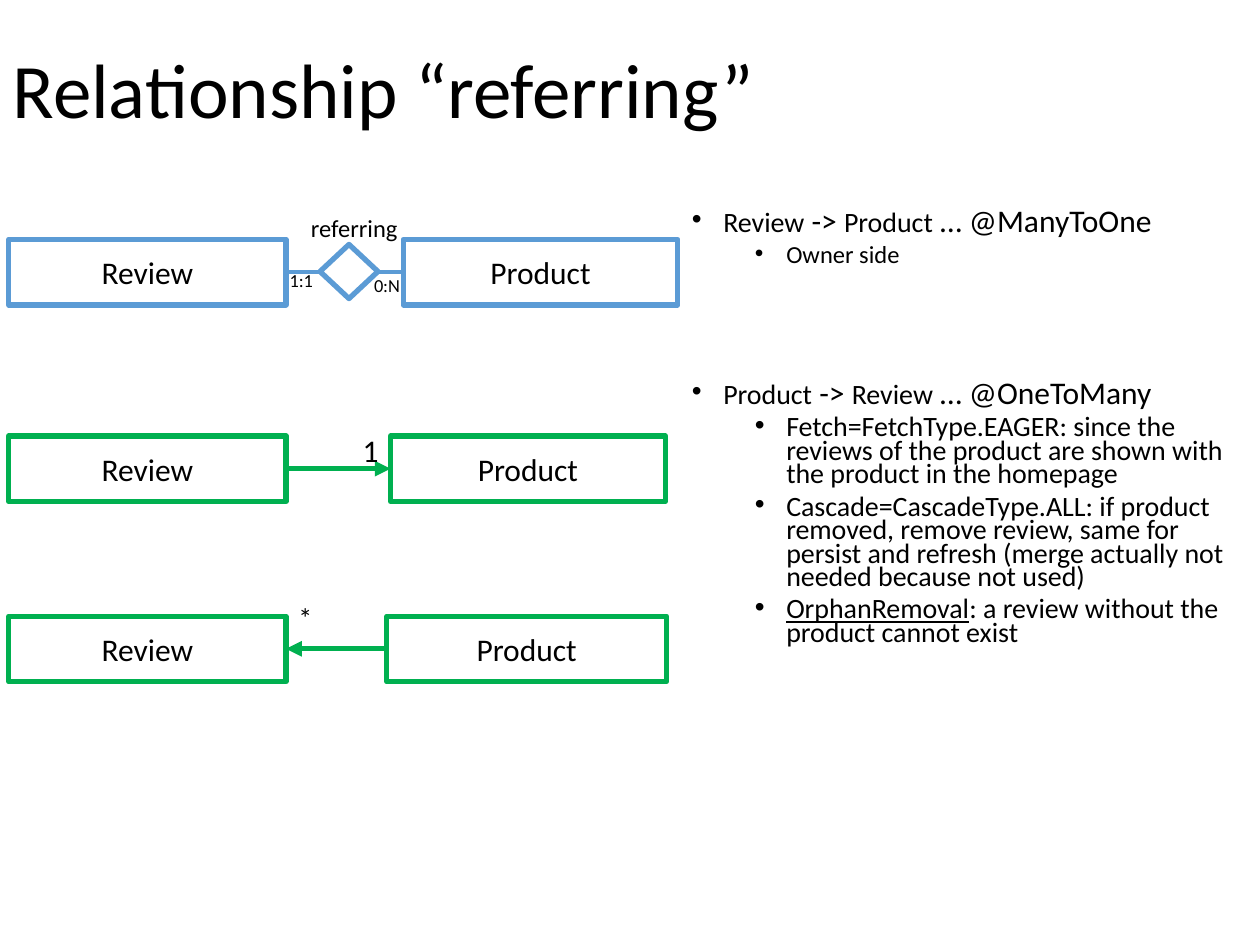
"""Builds the slide on the "referring" relationship between Review and Product."""
from lxml.etree import SubElement
from pptx import Presentation
from pptx.dml.color import RGBColor
from pptx.enum.shapes import MSO_CONNECTOR, MSO_SHAPE
from pptx.enum.text import MSO_ANCHOR, MSO_AUTO_SIZE as AUTO_SIZE, PP_ALIGN
from pptx.oxml.ns import qn
from pptx.util import Inches, Pt

BLACK, WHITE, BLUE, GREEN = "000000", "FFFFFF", "5B9BD5", "00B050"
FONT = "Calibri"
TITLE = "Relationship “referring”"

# level, space before, runs of (text, size, underlined)
NOTES = [
    (0, 0, [("Review", 16, False), (" -> ", 18, False),
            ("Product", 16, False), (" … @ManyToOne", 18, False)]),
    (1, 5, [("Owner side", 14, False)]),
    (0, 66, [("Product", 16, False), (" -> ", 18, False),
             ("Review", 16, False), (" … @OneToMany", 18, False)]),
    (1, 5, [("Fetch=FetchType.EAGER: since the reviews of the product are "
             "shown with the product in the homepage", 16, False)]),
    (1, 5, [("Cascade=CascadeType.ALL: if product removed, remove review, same for "
             "persist and refresh (merge actually not needed because not used)", 16, False)]),
    (1, 5, [("OrphanRemoval", 16, True),
            (": a review without the product cannot exist", 16, False)]),
]
INDENTS = [0.25, 0.75]

ENTITY_HEIGHT, REVIEW_LEFT, REVIEW_WIDTH = 0.52, 0.07, 2.2
REVIEW_RIGHT = REVIEW_LEFT + REVIEW_WIDTH
# top, product left, product width, line colour, fill
ENTITY_ROWS = [
    (1.9, 3.2, 2.18, BLUE, WHITE),
    (3.46, 3.1, 2.18, GREEN, None),
    (4.89, 3.07, 2.22, GREEN, None),
]
DIAMOND = (2.54, 1.94, 0.46, 0.43)
# start, end, row, width, arrow at end
LINKS = [
    (REVIEW_RIGHT, 2.54, 0, 2.25, False),
    (2.98, 3.2, 0, 2.25, False),
    (REVIEW_RIGHT, 3.1, 1, 3, True),
    (3.07, REVIEW_RIGHT, 2, 3, True),
]
LABELS = [
    ("0:N", 10.5, (2.87, 2.13, 0.41, 0.28)),
    ("1:1", 10.5, (2.2, 2.09, 0.4, 0.29)),
    ("referring", 14, (2.37, 1.64, 0.9, 0.34)),
    ("1", 18, (2.78, 3.37, 0.33, 0.4)),
    ("*", 16, (2.27, 4.72, 0.31, 0.37)),
]


def color(value):
    return RGBColor.from_string(value)


def inches(box):
    return [Inches(length) for length in box]


def place(shape, box):
    shape.left, shape.top, shape.width, shape.height = inches(box)


def add_run(paragraph, text, size, underlined=False):
    run = paragraph.add_run()
    run.text = text
    run.font.name, run.font.size = FONT, Pt(size)
    run.font.color.rgb = color(BLACK)
    if underlined:
        run.font.underline = True


def add_bullet(paragraph, indent):
    properties = paragraph._p.get_or_add_pPr()
    properties.set("marL", str(Inches(indent)))
    properties.set("indent", str(Inches(-0.25)))
    SubElement(properties, qn("a:buFont")).set("typeface", "Arial")
    SubElement(properties, qn("a:buChar")).set("char", "•")


def add_outline(slide, kind, box, line, fill, text=None):
    outline = slide.shapes.add_shape(kind, *inches(box))
    outline.shadow.inherit = False
    outline.line.color.rgb, outline.line.width = color(line), Pt(3)
    if fill:
        outline.fill.solid()
        outline.fill.fore_color.rgb = color(fill)
    else:
        outline.fill.background()
    if text:
        outline.text_frame.vertical_anchor = MSO_ANCHOR.MIDDLE
        paragraph = outline.text_frame.paragraphs[0]
        paragraph.alignment = PP_ALIGN.CENTER
        add_run(paragraph, text, 18)


def add_link(slide, start, end, y, line, width, arrow):
    link = slide.shapes.add_connector(MSO_CONNECTOR.STRAIGHT, *inches((start, y, end, y)))
    link.line.color.rgb, link.line.width = color(line), Pt(width)
    if arrow:
        SubElement(link.line._get_or_add_ln(), qn("a:tailEnd")).set("type", "triangle")
    SubElement(link._element.spPr, qn("a:effectLst"))


def add_label(slide, text, size, box):
    frame = slide.shapes.add_textbox(*inches(box)).text_frame
    frame.word_wrap = False
    frame.auto_size = AUTO_SIZE.SHAPE_TO_FIT_TEXT
    add_run(frame.paragraphs[0], text, size)


def fill_title(title):
    place(title, (0, 0.02, 8.63, 1.45))
    frame = title.text_frame
    frame.auto_size, frame.vertical_anchor = AUTO_SIZE.NONE, MSO_ANCHOR.MIDDLE
    heading = frame.paragraphs[0]
    heading.alignment, heading.line_spacing = PP_ALIGN.LEFT, 0.9
    add_run(heading, TITLE, 44)


def fill_notes(body):
    place(body, (5.39, 1.63, 4.71, 5.87))
    frame = body.text_frame
    frame.auto_size = AUTO_SIZE.NONE
    for index, (level, before, runs) in enumerate(NOTES):
        note = frame.add_paragraph() if index else frame.paragraphs[0]
        add_bullet(note, INDENTS[level])
        note.level, note.line_spacing, note.space_before = level, 0.7, Pt(before)
        for run in runs:
            add_run(note, *run)


def main():
    deck = Presentation()
    deck.slide_width, deck.slide_height = Inches(10), Inches(7.5)
    slide = deck.slides.add_slide(deck.slide_layouts[1])
    fill_title(slide.shapes.title)
    fill_notes(slide.placeholders[1])
    for top, left, width, line, fill in ENTITY_ROWS:
        product_box = (left, top, width, ENTITY_HEIGHT)
        review_box = (REVIEW_LEFT, top, REVIEW_WIDTH, ENTITY_HEIGHT)
        for name, box in (("Product", product_box), ("Review", review_box)):
            add_outline(slide, MSO_SHAPE.RECTANGLE, box, line, fill, name)
    add_outline(slide, MSO_SHAPE.DIAMOND, DIAMOND, BLUE, WHITE)
    for start, end, row, width, arrow in LINKS:
        top, _, _, line, _ = ENTITY_ROWS[row]
        add_link(slide, start, end, top + ENTITY_HEIGHT / 2, line, width, arrow)
    for label in LABELS:
        add_label(slide, *label)
    deck.save("out.pptx")


if __name__ == "__main__":
    main()
